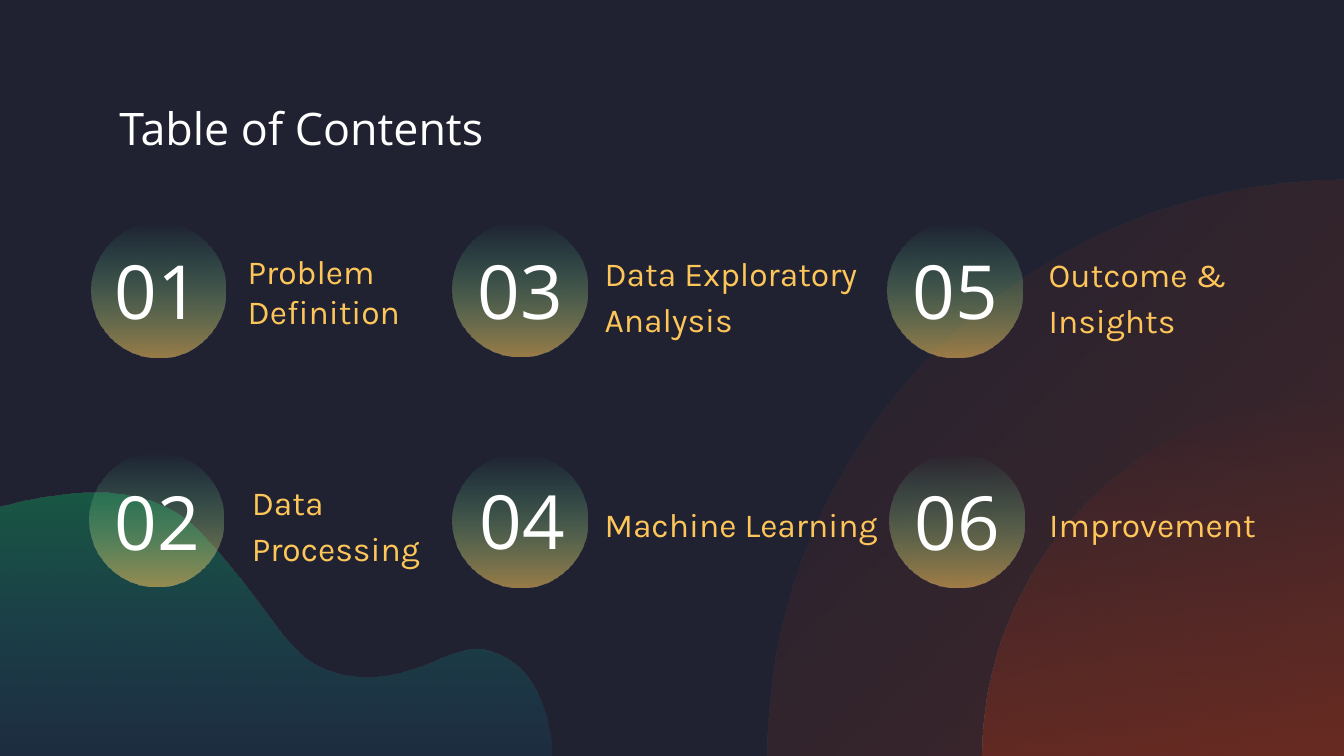
from dataclasses import dataclass

from lxml.etree import SubElement
from pptx import Presentation
from pptx.dml.color import RGBColor
from pptx.enum.shapes import MSO_SHAPE
from pptx.enum.text import MSO_ANCHOR as Anchor, PP_ALIGN as Align
from pptx.oxml.ns import qn
from pptx.util import Pt

NAVY = RGBColor(0x20, 0x22, 0x31)
RUST = RGBColor(0x9C, 0x32, 0x18)
AMBER = RGBColor(0xFE, 0xC6, 0x59)
MINT = RGBColor(0x4A, 0xFF, 0xC3)
GREEN = RGBColor(0x0A, 0xC6, 0x68)
BLUE = RGBColor(0x0A, 0x94, 0xC6)
WHITE = RGBColor(0xFF, 0xFF, 0xFF)

WIDTH, HEIGHT = 720, 405
DISC = 72
ARC_HANDLE = 0.55

Point = tuple[float, float]
Segment = tuple[Point, ...]


@dataclass(frozen=True)
class Fade:
    start: RGBColor
    start_opacity: int
    end: RGBColor
    end_opacity: int
    angle: int


@dataclass(frozen=True)
class Box:
    left: float
    top: float
    width: float
    height: float


@dataclass(frozen=True)
class Topic:
    number: str
    title: str
    disc_left: float
    disc_top: float
    number_box: Box
    title_box: Box
    line_spacing: float = 1.15


DISC_FADE = Fade(AMBER, 55, MINT, 0, 90)
HILL_FADE = Fade(GREEN, 33, BLUE, 10, 270)
ARCS = [
    (308.7, Fade(RUST, 30, RUST, 0, 135)),
    (193.7, Fade(RUST, 42, RUST, 0, 90)),
]
HILL_START = (51.1, 263.9)
HILL_SEGMENTS = [
    ((72, 263.9), (92.2, 269.1), (107.3, 285)),
    ((153.4, 334.6), (152.6, 357.6), (189.8, 362.2)),
    ((192.6, 362.6), (195.1, 362.6), (197.7, 362.6)),
    ((223.2, 362.6), (238.3, 347.6), (255.6, 347.6)),
    ((259.9, 347.6), (265, 349), (270, 352)),
    ((295.2, 365.8), (295.2, HEIGHT), (295.2, HEIGHT)),
    ((0, HEIGHT),),
    ((0, 271.9),),
    ((15.8, 267.6), (33.8, 263.9), HILL_START),
]
TOPICS = [
    Topic("03", "Data Exploratory Analysis", 242.6, 118.9,
          Box(236, 111.8, 85.7, 87), Box(316.8, 124.8, 160, 59)),
    Topic("04", "Machine Learning", 242.6, 242.8,
          Box(236.9, 235, 85.7, 87), Box(316.8, 259.7, 171.4, 36.7)),
    Topic("02", "Data Processing", 48, 242.3,
          Box(48.2, 242.8, 72, 72), Box(127.8, 247.7, 113, 62.6)),
    Topic("01", "Problem Definition", 49, 119.5,
          Box(48.2, 122.4, 72, 65.5), Box(125.6, 127, 96.5, 54.7), 1),
    Topic("05", "Outcome & Insights", 475.6, 119.5,
          Box(469, 111.8, 85.7, 87), Box(554.7, 125.6, 121.7, 59)),
    Topic("06", "Improvement", 476.6, 242.8,
          Box(469.9, 235.4, 85.7, 87), Box(555, 259.7, 134, 59)),
]


def paint(shape, fade: Fade) -> None:
    shape.shadow.inherit = False
    shape.line.fill.background()
    shape.fill.gradient()
    shape.fill.gradient_angle = fade.angle
    first, last = shape.fill.gradient_stops
    first.position, last.position = 0, 1
    first.color.rgb, last.color.rgb = fade.start, fade.end
    colors = list(shape._element.spPr.iter(qn("a:srgbClr")))
    for color, opacity in zip(colors, (fade.start_opacity, fade.end_opacity)):
        SubElement(color, qn("a:alpha")).set("val", str(opacity * 1000))


def add_outline(slide, start: Point, segments: list[Segment], fade: Fade):
    ends = [(Pt(x), Pt(y)) for x, y in (segment[-1] for segment in segments)]
    builder = slide.shapes.build_freeform(Pt(start[0]), Pt(start[1]))
    builder.add_line_segments(ends, close=True)
    shape = builder.convert_to_shape()
    lines = list(shape._element.spPr.iter(qn("a:lnTo")))
    for line, segment in zip(lines, segments):
        if len(segment) == 1:
            continue
        line.tag = qn("a:cubicBezTo")
        line.remove(line[0])
        for x, y in segment:
            point = SubElement(line, qn("a:pt"))
            point.set("x", str(Pt(x) - shape.left))
            point.set("y", str(Pt(y) - shape.top))
    paint(shape, fade)
    return shape


def add_arc(slide, radius: float, fade: Fade):
    handle = radius * ARC_HANDLE
    left, top = WIDTH - radius, HEIGHT - radius
    curve = ((WIDTH - handle, top), (left, HEIGHT - handle), (left, HEIGHT))
    return add_outline(slide, (WIDTH, HEIGHT), [((WIDTH, top),), curve], fade)


def add_text(
    slide, text: str, box: Box, size: float, font: str, color: RGBColor,
    align=Align.LEFT, anchor=Anchor.TOP,
    line_spacing: float = 1, space_after: float = 0,
) -> None:
    shape = slide.shapes.add_textbox(
        Pt(box.left), Pt(box.top), Pt(box.width), Pt(box.height)
    )
    frame = shape.text_frame
    frame.word_wrap = True
    frame.vertical_anchor = anchor
    frame.margin_left = frame.margin_right = Pt(7.2)
    frame.margin_top = frame.margin_bottom = Pt(7.2)
    paragraph = frame.paragraphs[0]
    paragraph.alignment = align
    paragraph.line_spacing = line_spacing
    paragraph.space_after = Pt(space_after)
    run = paragraph.add_run()
    run.text = text
    run.font.size = Pt(size)
    run.font.name = font
    run.font.color.rgb = color


def add_topic(slide, topic: Topic) -> None:
    disc = slide.shapes.add_shape(
        MSO_SHAPE.OVAL, Pt(topic.disc_left), Pt(topic.disc_top), Pt(DISC), Pt(DISC)
    )
    paint(disc, DISC_FADE)
    add_text(
        slide, topic.number, topic.number_box, 40, "Open Sans", WHITE,
        Align.CENTER, Anchor.MIDDLE,
    )
    add_text(
        slide, topic.title, topic.title_box, 18, "Karla", AMBER,
        line_spacing=topic.line_spacing, space_after=16,
    )


def main() -> None:
    presentation = Presentation()
    presentation.slide_width, presentation.slide_height = Pt(WIDTH), Pt(HEIGHT)
    slide = presentation.slides.add_slide(presentation.slide_layouts[6])
    slide.background.fill.solid()
    slide.background.fill.fore_color.rgb = NAVY
    arcs = [add_arc(slide, radius, fade) for radius, fade in ARCS]
    slide.shapes.add_group_shape(arcs)
    add_outline(slide, HILL_START, HILL_SEGMENTS, HILL_FADE)
    heading_box = Box(56.9, 46.8, 295.2, 53.3)
    add_text(slide, "Table of Contents", heading_box, 24, "Open Sans", WHITE)
    for topic in TOPICS:
        add_topic(slide, topic)
    presentation.save("out.pptx")


if __name__ == "__main__":
    main()
